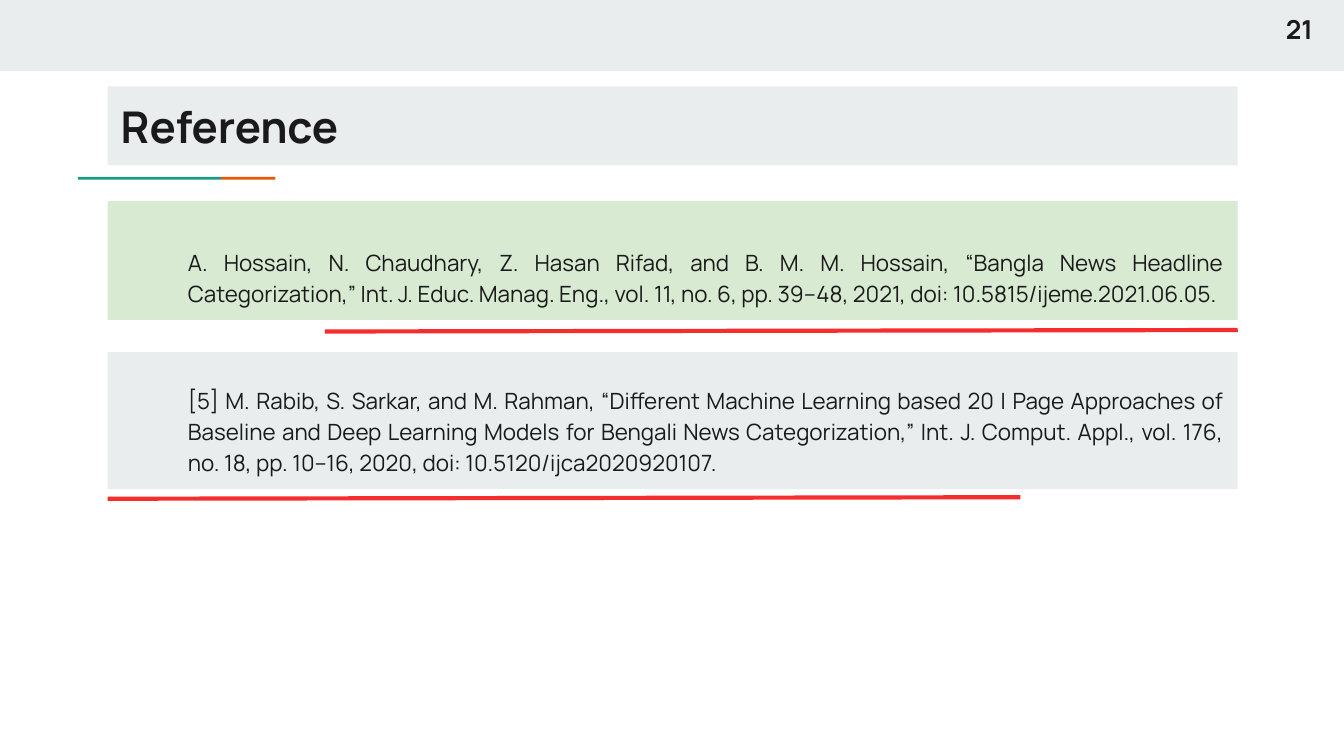
from dataclasses import dataclass

import pptx
import pptx.dml.color
import pptx.enum.shapes
import pptx.enum.text
import pptx.oxml.ns
import pptx.slide
import pptx.util
from lxml import etree

Pt = pptx.util.Pt
RGBColor = pptx.dml.color.RGBColor
Align = pptx.enum.text.PP_ALIGN
Anchor = pptx.enum.text.MSO_ANCHOR

PALE_GREY = RGBColor(0xE9, 0xED, 0xEE)
PALE_GREEN = RGBColor(0xD9, 0xEA, 0xD3)
ORANGE = RGBColor(0xEB, 0x56, 0x00)
TEAL = RGBColor(0x1A, 0x99, 0x88)
RED = RGBColor(0xF5, 0x2D, 0x2D)
INK = RGBColor(0x1A, 0x1A, 0x1A)

FONT = "Manrope"
INSET = 7.2
LEFT, WIDTH = 57.6, 605.5  # shared content column
RIGHT = LEFT + WIDTH
RULE_WIDTH, RULE_RISE = 489, 0.8


@dataclass
class Panel:
    left: float
    top: float
    width: float
    height: float
    fill: RGBColor
    text: str = ""
    size: float = 12
    heading: bool = True


@dataclass
class Rule:
    left: float
    top: float


def draw_panel(page: pptx.slide.Slide, panel: Panel) -> None:
    box = page.shapes.add_shape(
        pptx.enum.shapes.MSO_SHAPE.RECTANGLE,
        Pt(panel.left), Pt(panel.top), Pt(panel.width), Pt(panel.height))
    box.shadow.inherit = False
    box.fill.solid()
    box.fill.fore_color.rgb = panel.fill
    box.line.fill.background()
    if not panel.text:
        return

    frame = box.text_frame
    frame.word_wrap = True
    frame.margin_left = frame.margin_right = Pt(INSET)
    frame.margin_top = frame.margin_bottom = Pt(INSET)
    frame.vertical_anchor = Anchor.TOP if panel.heading else Anchor.BOTTOM
    frame.text = panel.text
    para = frame.paragraphs[0]
    para.alignment = Align.LEFT if panel.heading else Align.JUSTIFY
    if not panel.heading:
        para.line_spacing = 1.15
        properties = para._p.get_or_add_pPr()
        properties.set("marL", str(Pt(36)))
        properties.set("indent", "0")
    span = para.runs[0]
    span.font.name = FONT
    span.font.size = Pt(panel.size)
    span.font.bold = panel.heading
    span.font.color.rgb = INK


def draw_rule(page: pptx.slide.Slide, rule: Rule) -> None:
    line = page.shapes.add_connector(
        pptx.enum.shapes.MSO_CONNECTOR.STRAIGHT,
        Pt(rule.left + RULE_WIDTH), Pt(rule.top),
        Pt(rule.left), Pt(rule.top + RULE_RISE))
    line.line.color.rgb = RED
    line.line.width = Pt(2.25)
    etree.SubElement(line._element.spPr, pptx.oxml.ns.qn("a:effectLst"))


PANELS = [
    # Top band and two-colour accent under the title
    Panel(0, 0, 720, 38.2, PALE_GREY),
    Panel(118.4, 94.8, 29.2, 1.5, ORANGE),
    Panel(41.8, 94.8, 76.6, 1.5, TEAL),
    # Title
    Panel(LEFT, 46.3, WIDTH, 42.2, PALE_GREY, "Reference", 23.4),
    # References
    Panel(LEFT, 188.6, WIDTH, 73.5, PALE_GREY,
          "[5] M. Rabib, S. Sarkar, and M. Rahman, “Different Machine Learning "
          "based 20 | Page Approaches of Baseline and Deep Learning Models for "
          "Bengali News Categorization,” Int. J. Comput. Appl., vol. 176, no. 18, "
          "pp. 10–16, 2020, doi: 10.5120/ijca2020920107.", heading=False),
    Panel(LEFT, 107.6, WIDTH, 63.8, PALE_GREEN,
          "A. Hossain, N. Chaudhary, Z. Hasan Rifad, and B. M. M. Hossain, "
          "“Bangla News Headline Categorization,” Int. J. Educ. Manag. Eng., "
          "vol. 11, no. 6, pp. 39–48, 2021, doi: 10.5815/ijeme.2021.06.05.",
          heading=False),
    # Page number
    Panel(681.8, 0, 38.2, 23, PALE_GREY, "21", 14),
]

# Red underlines: one flush right, one flush left
RULES = [Rule(RIGHT - RULE_WIDTH, 176.8), Rule(LEFT, 266.4)]


def main() -> None:
    deck = pptx.Presentation()
    deck.slide_width, deck.slide_height = Pt(720), Pt(405)
    page = deck.slides.add_slide(deck.slide_layouts[6])
    for panel in PANELS:
        draw_panel(page, panel)
    for rule in RULES:
        draw_rule(page, rule)
    deck.save("out.pptx")


if __name__ == "__main__":
    main()
